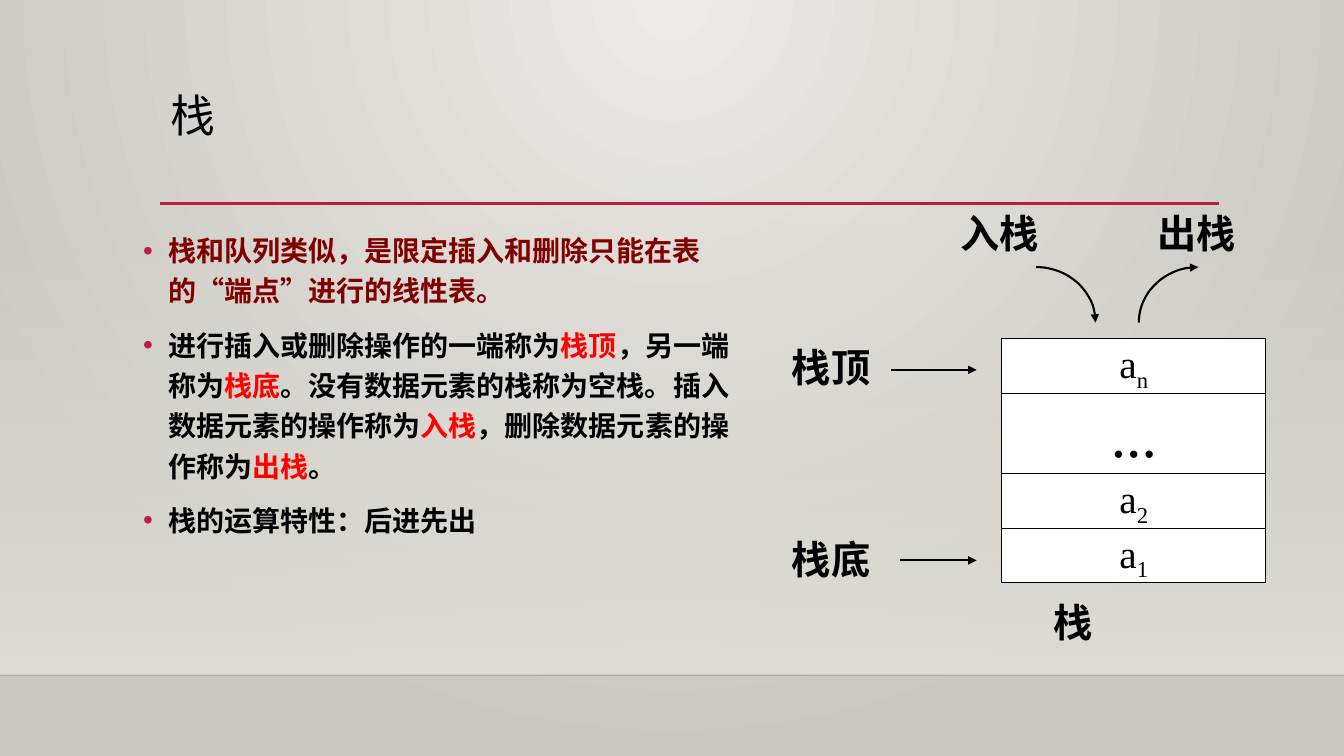
from lxml import etree
from pptx import Presentation
from pptx.dml.color import RGBColor
from pptx.enum.shapes import MSO_CONNECTOR, MSO_SHAPE
from pptx.enum.text import MSO_ANCHOR, MSO_AUTO_SIZE, PP_ALIGN
from pptx.oxml.ns import qn
from pptx.util import Cm, Pt

RECT, ARC = MSO_SHAPE.RECTANGLE, MSO_SHAPE.ARC
STRAIGHT = MSO_CONNECTOR.STRAIGHT
TOP, MIDDLE = MSO_ANCHOR.TOP, MSO_ANCHOR.MIDDLE
LEFT, CENTER = PP_ALIGN.LEFT, PP_ALIGN.CENTER
NO_FIT = MSO_AUTO_SIZE.NONE

SERIF, SANS, CJK = "Times New Roman", "Calibri", "Noto Sans CJK SC"
BLACK, WHITE, RED, MAROON, CRIMSON = "000000", "FFFFFF", "FF0000", "800000", "B71E42"
WIDTH, HEIGHT = 33.87, 19.05

TITLE = "栈"
# Each paragraph: font, then (text, colour) runs
BODY = [
    (SERIF, [("栈和队列类似，是限定插入和删除只能在表的“端点”进行的线性表。", MAROON)]),
    (SERIF, [("进行插入或删除操作的一端称为", BLACK), ("栈顶", RED),
             ("，另一端称为", BLACK), ("栈底", RED),
             ("。没有数据元素的栈称为空栈。插入数据元素的操作称为", BLACK),
             ("入栈", RED), ("，删除数据元素的操作称为", BLACK),
             ("出栈", RED), ("。", BLACK)]),
    (CJK, [("栈的运算特性：后进先出", BLACK)]),
]
# Text, subscript, size, height, from the top of the stack down
CELLS = [("a", "n", 28, 1.38), ("...", "", 44, 2.02),
         ("a", "2", 28, 1.38), ("a", "1", 28, 1.38)]
CELL_X, CELL_TOP, CELL_W = 25.25, 8.53, 6.65
# Text, left, top, width
LABELS = [("栈顶", 19.71, 8.53, 2.54), ("栈底", 19.71, 13.36, 2.54),
          ("入栈", 23.95, 5.16, 2.79), ("出栈", 28.91, 5.16, 2.79),
          ("栈", 26.31, 14.96, 1.55)]
POINTERS = [(22.45, 9.32), (22.68, 14.12)]
POINTER_END = 24.61
# Centre x, start and end angle in degrees
CURVES = [(26.11, 270, 0), (30.2, 180, 270)]
CURVE_Y, CURVE_RX, CURVE_RY = 8.13, 1.5, 1.4


def rgb(value):
    return RGBColor.from_string(value)


def sub(parent, tag, **attrs):
    return etree.SubElement(parent, qn(tag), attrs)


def place(shape, *box):
    shape.left, shape.top, shape.width, shape.height = map(Cm, box)


def add_run(p, text, size=28, color=BLACK, font=SERIF, bold=False, baseline=None):
    r = p.add_run()
    r.text = text
    r.font.size, r.font.bold, r.font.name = Pt(size), bold, font
    r.font.color.rgb = rgb(color)
    rPr = r._r.get_or_add_rPr()
    sub(rPr, "a:ea", typeface=CJK)
    if baseline:
        rPr.set("baseline", str(baseline))


def setup_frame(shape, anchor=TOP, align=LEFT, wrap=True):
    """Prepare the text frame and return it with its first paragraph."""
    tf = shape.text_frame
    tf.word_wrap, tf.auto_size, tf.vertical_anchor = wrap, NO_FIT, anchor
    p = tf.paragraphs[0]
    p.alignment = align
    return tf, p


def set_gradient(fill, grad, stops, radial):
    """Fill with (position, colour, opacity) stops, radial from the top or downward."""
    fill.gradient()
    for child in list(grad()):
        grad().remove(child)
    gs_list = sub(grad(), "a:gsLst")
    for pos, color, alpha in stops:
        gs = sub(gs_list, "a:gs", pos=str(pos * 1000))
        clr = sub(gs, "a:srgbClr", val=color)
        sub(clr, "a:alpha", val=str(alpha * 1000))
    if radial:
        path = sub(grad(), "a:path", path="circle")
        sub(path, "a:fillToRect", l="43000", r="43000", b="100000")
    else:
        sub(grad(), "a:lin", ang="5400000", scaled="0")


def style_line(line, color, width, arrow=False):
    line.color.rgb, line.width = rgb(color), Pt(width)
    if arrow:
        sub(line._get_or_add_ln(), "a:tailEnd", type="triangle")


def add_line(s, x1, y1, x2, y2, color, width, arrow=False):
    c = s.shapes.add_connector(STRAIGHT, Cm(x1), Cm(y1), Cm(x2), Cm(y2))
    style_line(c.line, color, width, arrow)
    sub(c._element.spPr, "a:effectLst")
    return c


def add_background(s):
    """Radial backdrop, and a fading wall with a floor edge behind the text."""
    bg = s.background
    set_gradient(bg.fill, lambda: s._element.find(".//" + qn("a:gradFill")),
                 [(0, "ECEAE7", 100), (100, "CAC7C1", 100)], radial=True)
    wall = s.shapes.add_shape(RECT, 0, Cm(5.61), Cm(WIDTH), Cm(11.41))
    wall.shadow.inherit = False
    wall.line.fill.background()
    set_gradient(wall.fill, lambda: wall._element.spPr.find(qn("a:gradFill")),
                 [(0, "DFDBD5", 0), (100, "DFDBD5", 100)], radial=False)
    floor = add_line(s, 0, 17.02, WIDTH, 17.02, "000001", 1)
    sub(floor._element.find(".//" + qn("a:srgbClr")), "a:alpha", val="20000")
    rule = add_line(s, 4.04, 5.13, 30.73, 5.13, CRIMSON, 2.5)
    for shape in (wall, floor, rule):
        s.shapes.title._element.addprevious(shape._element)


def fill_body(body):
    place(body, 3.35, 5.59, 15.72, 8.81)
    tf, p = setup_frame(body)
    for i, (font, runs) in enumerate(BODY):
        if i:
            p = tf.add_paragraph()
        p.line_spacing, p.space_before = 1.2, Pt(10)
        pPr = p._p.get_or_add_pPr()
        pPr.set("marL", str(Cm(0.635)))
        pPr.set("indent", str(-Cm(0.635)))
        sub(sub(pPr, "a:buClr"), "a:srgbClr", val=CRIMSON)
        sub(pPr, "a:buChar", char="•")
        for text, color in runs:
            add_run(p, text, size=20, color=color, font=font, bold=True)


def add_stack(s):
    y = CELL_TOP
    for text, subscript, size, h in CELLS:
        cell = s.shapes.add_shape(RECT, Cm(CELL_X), Cm(y), Cm(CELL_W), Cm(h))
        cell.shadow.inherit = False
        cell.fill.solid()
        cell.fill.fore_color.rgb = rgb(WHITE)
        style_line(cell.line, BLACK, 0.75)
        tf, p = setup_frame(cell, anchor=MIDDLE, align=CENTER)
        add_run(p, text, size=size)
        if subscript:
            add_run(p, subscript, size=size, baseline=-25000)
        y += h


def add_curve(s, cx, start, end):
    arc = s.shapes.add_shape(ARC, Cm(cx - CURVE_RX), Cm(CURVE_Y - CURVE_RY),
                             Cm(2 * CURVE_RX), Cm(2 * CURVE_RY))
    arc.shadow.inherit = False
    arc.fill.background()
    # Angles are stored in 60000ths of a degree, adjustments in 100000ths
    arc.adjustments[0], arc.adjustments[1] = start * 0.6, end * 0.6
    style_line(arc.line, BLACK, 1.5, arrow=True)


def main():
    prs = Presentation()
    prs.slide_width, prs.slide_height = Cm(WIDTH), Cm(HEIGHT)
    s = prs.slides.add_slide(prs.slide_layouts[1])
    add_background(s)

    place(s.shapes.title, 4.04, 2.24, 26.67, 2.92)
    tf, p = setup_frame(s.shapes.title)
    p.line_spacing = 0.9
    add_run(p, TITLE, size=32, font=SANS)
    fill_body(s.placeholders[1])

    add_stack(s)
    for text, x, y, w in LABELS:
        label = s.shapes.add_textbox(Cm(x), Cm(y), Cm(w), Cm(1.35))
        tf, p = setup_frame(label, wrap=False)
        add_run(p, text, bold=True)
    for x, y in POINTERS:
        add_line(s, x, y, POINTER_END, y, BLACK, 1.5, arrow=True)
    for curve in CURVES:
        add_curve(s, *curve)
    prs.save("out.pptx")


if __name__ == "__main__":
    main()
